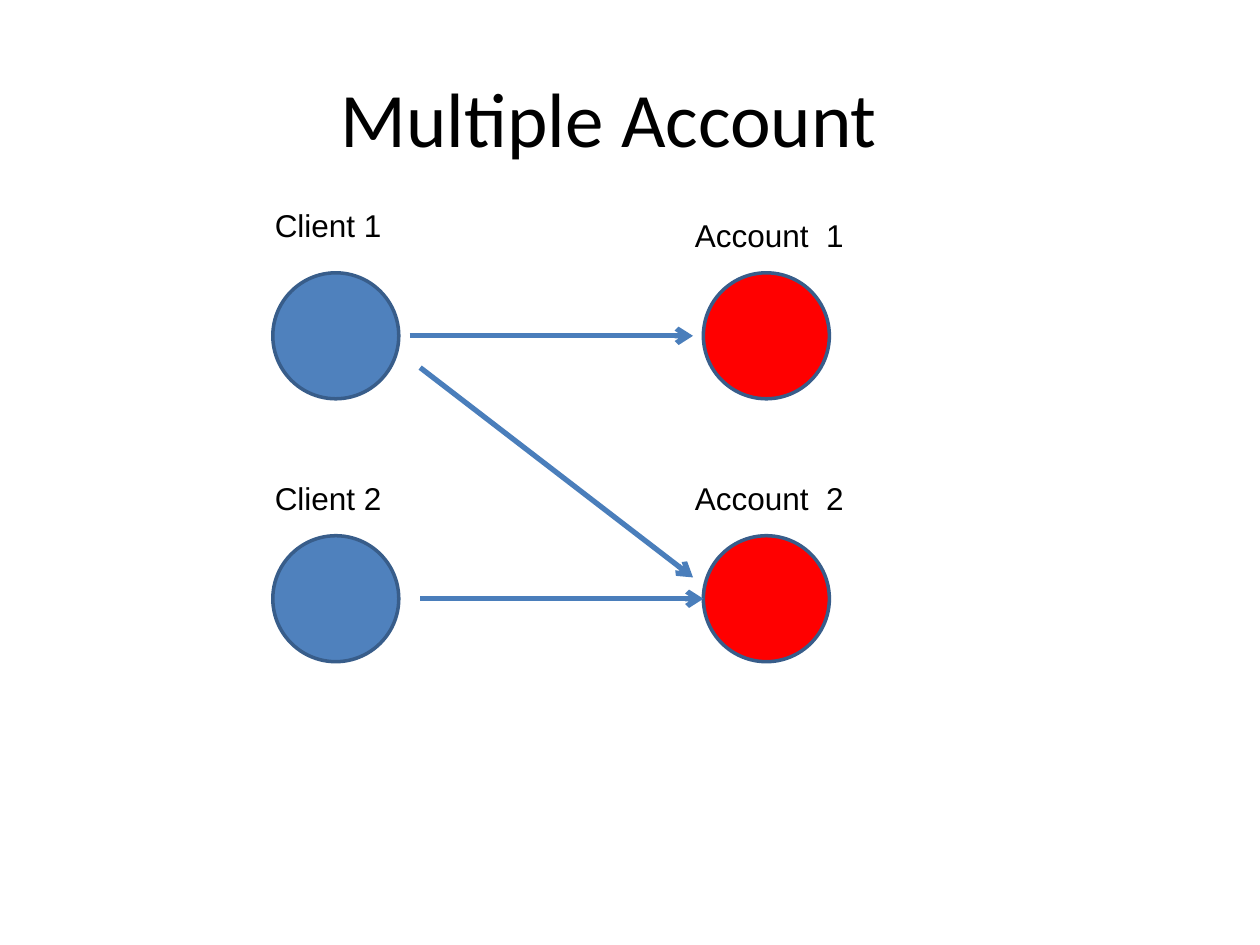
from dataclasses import dataclass

from lxml import etree
from pptx import Presentation
from pptx.dml.color import RGBColor
from pptx.enum.shapes import MSO_CONNECTOR, MSO_SHAPE
from pptx.enum.text import MSO_ANCHOR, MSO_AUTO_SIZE, PP_ALIGN
from pptx.oxml.ns import qn
from pptx.util import Cm, Pt

OVAL = MSO_SHAPE.OVAL
LINE = MSO_CONNECTOR.STRAIGHT
MIDDLE = MSO_ANCHOR.MIDDLE
CENTER = PP_ALIGN.CENTER
GROW = MSO_AUTO_SIZE.SHAPE_TO_FIT_TEXT

SIZE = 2.54
LEFT, RIGHT = 5.5, 14.18
UPPER, LOWER = 5.5, 10.8
BLUE, RED = "4F81BD", "FF0000"
EDGE, ARROW, BLACK = "385D8A", "4A7EBB", "000000"


@dataclass
class Node:
    text: str
    x: float
    y: float
    fill: str
    label_x: float
    label_y: float
    label_w: float
    grouped: bool


@dataclass
class Arrow:
    x1: float
    y1: float
    x2: float
    y2: float


NODES = [
    Node("Client 1", LEFT, UPPER, BLUE, 5.29, 4.02, 3.39, False),
    Node("Account  1", RIGHT, UPPER, RED, 13.76, 4.23, 4.02, True),
    Node("Account  2", RIGHT, LOWER, RED, 13.76, 9.53, 4.02, True),
    Node("Client 2", LEFT, LOWER, BLUE, 5.29, 9.53, 3.39, False),
]

ARROWS = [
    Arrow(8.26, UPPER + SIZE / 2, 13.97, UPPER + SIZE / 2),
    Arrow(8.47, 7.41, 13.97, 11.64),
    Arrow(8.47, LOWER + SIZE / 2, RIGHT, LOWER + SIZE / 2),
]


def color(code: str) -> RGBColor:
    return RGBColor.from_string(code)


def style(frame, font: str, size: int) -> None:
    for run in frame.paragraphs[0].runs:
        run.font.name = font
        run.font.size = Pt(size)
        run.font.color.rgb = color(BLACK)


def draw_title(slide, text: str) -> None:
    title = slide.shapes.title
    title.left, title.top = Cm(1.27), Cm(0.76)
    title.width, title.height = Cm(22.02), Cm(3.18)
    frame = title.text_frame
    frame.text = text
    frame.vertical_anchor = MIDDLE
    frame.paragraphs[0].alignment = CENTER
    style(frame, "Calibri", 44)


def draw_node(slide, node: Node) -> None:
    shapes = slide.shapes
    if node.grouped:
        shapes = shapes.add_group_shape().shapes
    disc = shapes.add_shape(OVAL, Cm(node.x), Cm(node.y), Cm(SIZE), Cm(SIZE))
    disc.shadow.inherit = False
    disc.fill.solid()
    disc.fill.fore_color.rgb = color(node.fill)
    disc.line.color.rgb = color(EDGE)
    disc.line.width = Pt(2)
    label = shapes.add_textbox(
        Cm(node.label_x), Cm(node.label_y), Cm(node.label_w), Cm(1.02))
    frame = label.text_frame
    frame.word_wrap = True
    frame.auto_size = GROW
    frame.text = node.text
    style(frame, "Arial", 18)


def draw_arrow(slide, arrow: Arrow) -> None:
    line = slide.shapes.add_connector(
        LINE, Cm(arrow.x1), Cm(arrow.y1), Cm(arrow.x2), Cm(arrow.y2))
    line.line.color.rgb = color(ARROW)
    line.line.width = Pt(3)
    props = line.line._get_or_add_ln()
    etree.SubElement(props, qn("a:tailEnd"), type="arrow")
    etree.SubElement(line._element.spPr, qn("a:effectLst"))


def main() -> None:
    deck = Presentation()
    deck.slide_width, deck.slide_height = Cm(25.4), Cm(19.05)
    slide = deck.slides.add_slide(deck.slide_layouts[5])
    draw_title(slide, "Multiple Account")
    for node in NODES:
        draw_node(slide, node)
    for arrow in ARROWS:
        draw_arrow(slide, arrow)
    deck.save("out.pptx")


if __name__ == "__main__":
    main()
